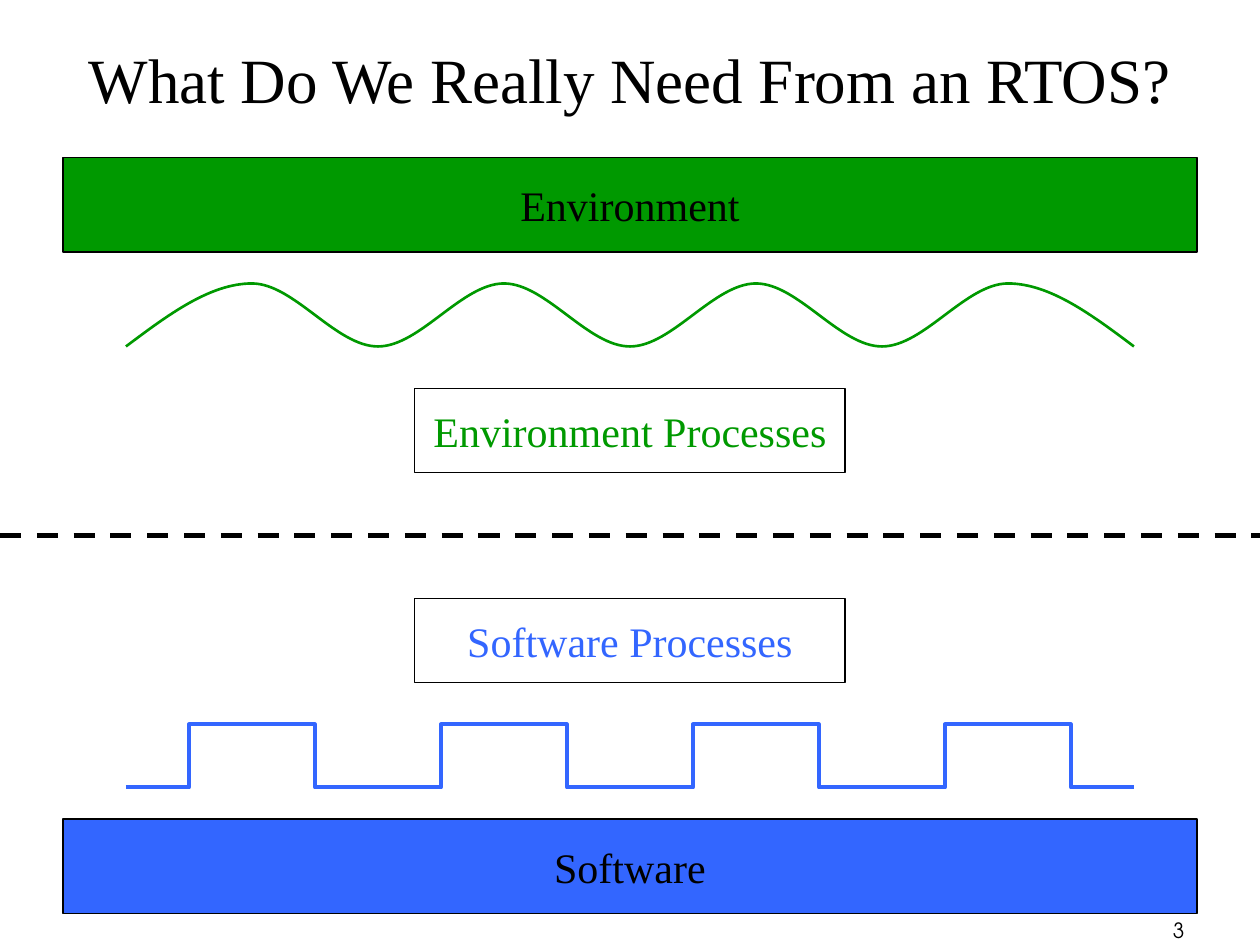
from dataclasses import dataclass
from itertools import pairwise

from lxml.etree import SubElement
from pptx import Presentation
from pptx.dml.color import RGBColor
from pptx.enum.dml import MSO_LINE
from pptx.enum.shapes import MSO_CONNECTOR, MSO_SHAPE
from pptx.enum.text import MSO_ANCHOR, PP_ALIGN
from pptx.oxml.ns import qn
from pptx.util import Inches, Pt

BLACK = RGBColor(0x00, 0x00, 0x00)
GREEN = RGBColor(0x00, 0x99, 0x00)
BLUE = RGBColor(0x33, 0x66, 0xFF)
SERIF = "Times New Roman"
SANS = "TeX Gyre Adventor"

# Grid cells are a twelfth of an inch square.
COLS, ROWS = 120, 90
WAVE_LEFT, WAVE_RIGHT, WAVE_HEIGHT = 12, 108, 6


@dataclass
class Box:
    """A box centred across the slide, measured in grid cells."""
    text: str
    top: float
    width: float
    height: float
    color: RGBColor
    fill: RGBColor | None = None


BOXES = [
    Box("Environment", 15, 108, 9, BLACK, GREEN),
    Box("Software", 78, 108, 9, BLACK, BLUE),
    Box("Software Processes", 57, 41, 8, BLUE),
    Box("Environment Processes", 37, 41, 8, GREEN),
]


def cells(n: float) -> int:
    return Inches(n / 12)


def write(tf, text: str, size: float, color: RGBColor, font: str = SERIF,
          align: PP_ALIGN = PP_ALIGN.CENTER) -> None:
    p = tf.paragraphs[0]
    p.alignment = align
    r = p.add_run()
    r.text = text
    r.font.size = Pt(size)
    r.font.name = font
    r.font.color.rgb = color


def add_box(s, box: Box) -> None:
    sp = s.shapes.add_shape(
        MSO_SHAPE.RECTANGLE, cells((COLS - box.width) / 2), cells(box.top),
        cells(box.width), cells(box.height))
    sp.shadow.inherit = False
    if box.fill is None:
        sp.fill.background()
    else:
        sp.fill.solid()
        sp.fill.fore_color.rgb = box.fill
    sp.line.color.rgb = BLACK
    sp.line.width = Pt(0.75)
    tf = sp.text_frame
    tf.word_wrap = False
    tf.vertical_anchor = MSO_ANCHOR.MIDDLE
    write(tf, box.text, 24, box.color)


def add_text(s, text: str, left: float, top: float, width: float, height: float,
             size: float, font: str, align: PP_ALIGN, anchor: MSO_ANCHOR) -> None:
    tf = s.shapes.add_textbox(
        cells(left), cells(top), cells(width), cells(height)).text_frame
    tf.word_wrap = True
    tf.vertical_anchor = anchor
    write(tf, text, size, BLACK, font, align)


def add_trace(s, points: list[tuple[float, float]], color: RGBColor, width: float):
    """Draw an open, unfilled line through grid points."""
    emu = [(cells(x), cells(y)) for x, y in points]
    builder = s.shapes.build_freeform(*emu[0])
    builder.add_line_segments(emu[1:], close=False)
    sp = builder.convert_to_shape()
    sp.shadow.inherit = False
    sp.fill.background()
    sp.line.color.rgb = color
    sp.line.width = Pt(width)
    return sp


def smooth_trace(sp) -> None:
    """Turn each segment into a Bezier curve, level at every inner point."""
    path = sp._element.find(".//" + qn("a:path"))
    nodes = list(path)
    points = [(int(n[0].get("x")), int(n[0].get("y"))) for n in nodes]
    last = len(points) - 2
    for i, ((x0, y0), (x1, y1)) in enumerate(pairwise(points)):
        middle = (y0 + y1) // 2
        third = (x1 - x0) // 3
        curve = [(x0 + third, middle if i == 0 else y0),
                 (x1 - third, middle if i == last else y1), (x1, y1)]
        bezier = SubElement(path, qn("a:cubicBezTo"))
        for x, y in curve:
            SubElement(bezier, qn("a:pt"), x=str(x), y=str(y))
        path.remove(nodes[i + 1])


def add_sine_wave(s, top: float) -> None:
    xs = range(WAVE_LEFT, WAVE_RIGHT + 1, 12)
    points = [(x, top + WAVE_HEIGHT * (i % 2 == 0)) for i, x in enumerate(xs)]
    smooth_trace(add_trace(s, points, GREEN, 1.5))


def add_square_wave(s, top: float) -> None:
    low, high = top + WAVE_HEIGHT, top
    points = [(WAVE_LEFT, low)]
    for x in range(WAVE_LEFT + 6, WAVE_RIGHT, 24):
        points += [(x, low), (x, high), (x + 12, high), (x + 12, low)]
    points.append((WAVE_RIGHT, low))
    add_trace(s, points, BLUE, 2.25)


def add_divider(s, y: float) -> None:
    line = s.shapes.add_connector(
        MSO_CONNECTOR.STRAIGHT, 0, cells(y), cells(COLS), cells(y))
    line.line.color.rgb = BLACK
    line.line.width = Pt(3)
    line.line.dash_style = MSO_LINE.DASH
    SubElement(line._element.spPr, qn("a:effectLst"))


def main() -> None:
    prs = Presentation()
    prs.slide_width, prs.slide_height = cells(COLS), cells(ROWS)
    s = prs.slides.add_slide(prs.slide_layouts[6])
    for box in BOXES:
        add_box(s, box)
    add_sine_wave(s, 27)
    add_square_wave(s, 69)
    add_divider(s, 51)
    add_text(s, "What Do We Really Need From an RTOS?", 6, 0, 108, 15,
             36, SERIF, PP_ALIGN.CENTER, MSO_ANCHOR.MIDDLE)
    add_text(s, "3", 89, 86.75, 25, 3, 12, SANS, PP_ALIGN.RIGHT, MSO_ANCHOR.TOP)
    prs.save("out.pptx")


if __name__ == "__main__":
    main()
